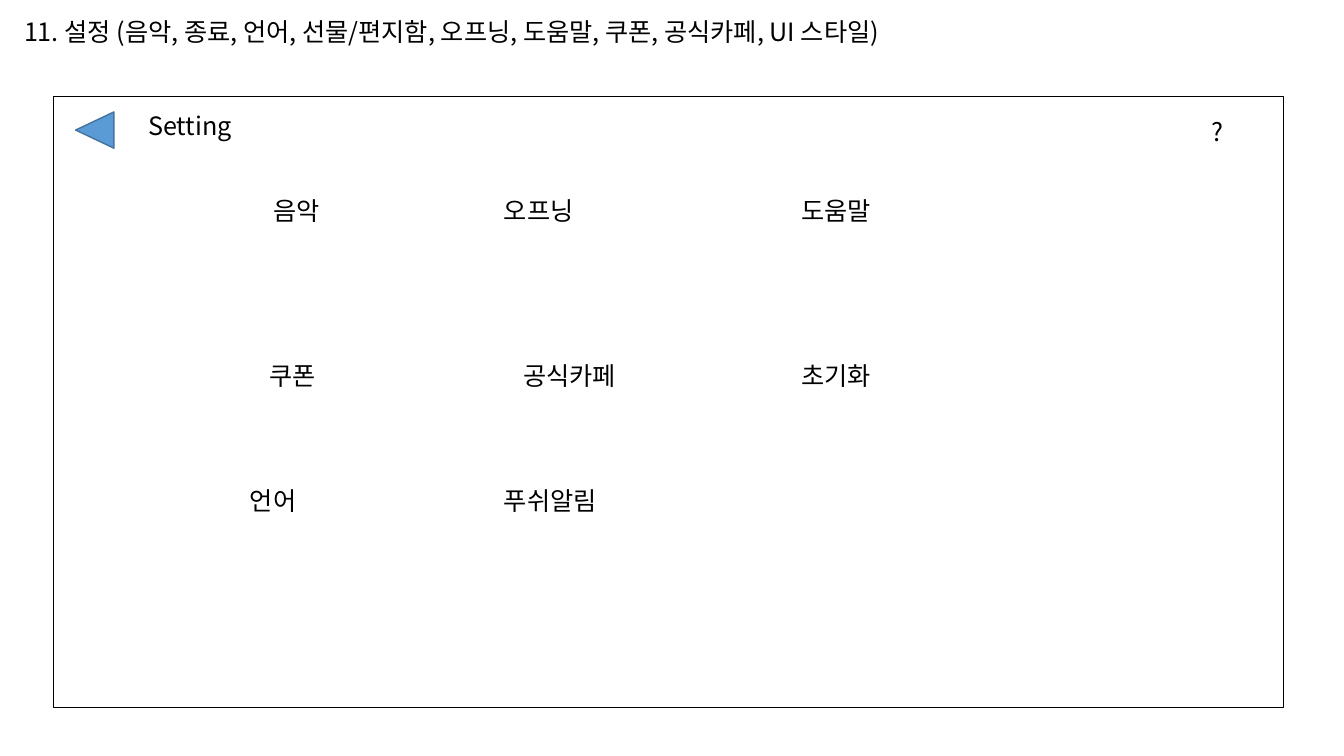
from pptx import Presentation
from pptx.dml.color import RGBColor
from pptx.enum.shapes import MSO_SHAPE
from pptx.enum.text import MSO_AUTO_SIZE
from pptx.oxml.ns import qn
from pptx.util import Inches, Pt
from lxml import etree

RECTANGLE = MSO_SHAPE.RECTANGLE
TRIANGLE = MSO_SHAPE.ISOSCELES_TRIANGLE
FIT_SHAPE = MSO_AUTO_SIZE.SHAPE_TO_FIT_TEXT

# Content
FONT = "Noto Sans CJK KR"
TEXT_HEIGHT = 0.4
LABEL_WIDTH = 1.71
HEADINGS = [  # text, left, top, width
    ("11. 설정 (음악, 종료, 언어, 선물/편지함, 오프닝, 도움말, 쿠폰, 공식카페, UI 스타일)",
     0.14, 0.11, 12.37),
    ("Setting", 1.37, 1.05, 2.04),
    ("?", 11.92, 1.11, 0.81),
]
MENU_ROWS = [  # row top, then each label with its left edge
    (1.89, [("음악", 2.61), ("오프닝", 4.9), ("도움말", 7.85)]),
    (3.53, [("쿠폰", 2.57), ("공식카페", 5.09), ("초기화", 7.85)]),
    (4.77, [("언어", 2.38), ("푸쉬알림", 4.9)]),
]


def color(value):
    return RGBColor.from_string(value)


def add_text(page, text, left, top, width):
    box = page.shapes.add_textbox(Inches(left), Inches(top), Inches(width), Inches(TEXT_HEIGHT))
    frame = box.text_frame
    frame.word_wrap = True
    frame.auto_size = FIT_SHAPE
    frame.text = text
    span = frame.paragraphs[0].runs[0]
    span.font.size = Pt(18)
    span.font.name = FONT
    span.font.color.rgb = color("000000")
    etree.SubElement(span.font._element, qn("a:ea")).set("typeface", FONT)


def add_panel(page, kind, left, top, width, height, fill, line):
    panel = page.shapes.add_shape(kind, Inches(left), Inches(top), Inches(width), Inches(height))
    panel.shadow.inherit = False
    panel.fill.solid()
    panel.fill.fore_color.rgb = color(fill)
    panel.line.color.rgb = color(line)
    panel.line.width = Pt(1)
    return panel


def main():
    deck = Presentation()
    deck.slide_width, deck.slide_height = Inches(13.33), Inches(7.5)
    page = deck.slides.add_slide(deck.slide_layouts[6])

    # Settings window and back arrow
    add_panel(page, RECTANGLE, 0.53, 0.96, 12.2, 6.06, "FFFFFF", "000000")
    back_arrow = add_panel(page, TRIANGLE, 0.76, 1.1, 0.36, 0.38, "5B9BD5", "43739E")
    back_arrow.rotation = 270

    # Title, window heading and help mark
    for text, left, top, width in HEADINGS:
        add_text(page, text, left, top, width)

    # Menu labels
    for top, labels in MENU_ROWS:
        for text, left in labels:
            add_text(page, text, left, top, LABEL_WIDTH)

    deck.save("out.pptx")


if __name__ == "__main__":
    main()
